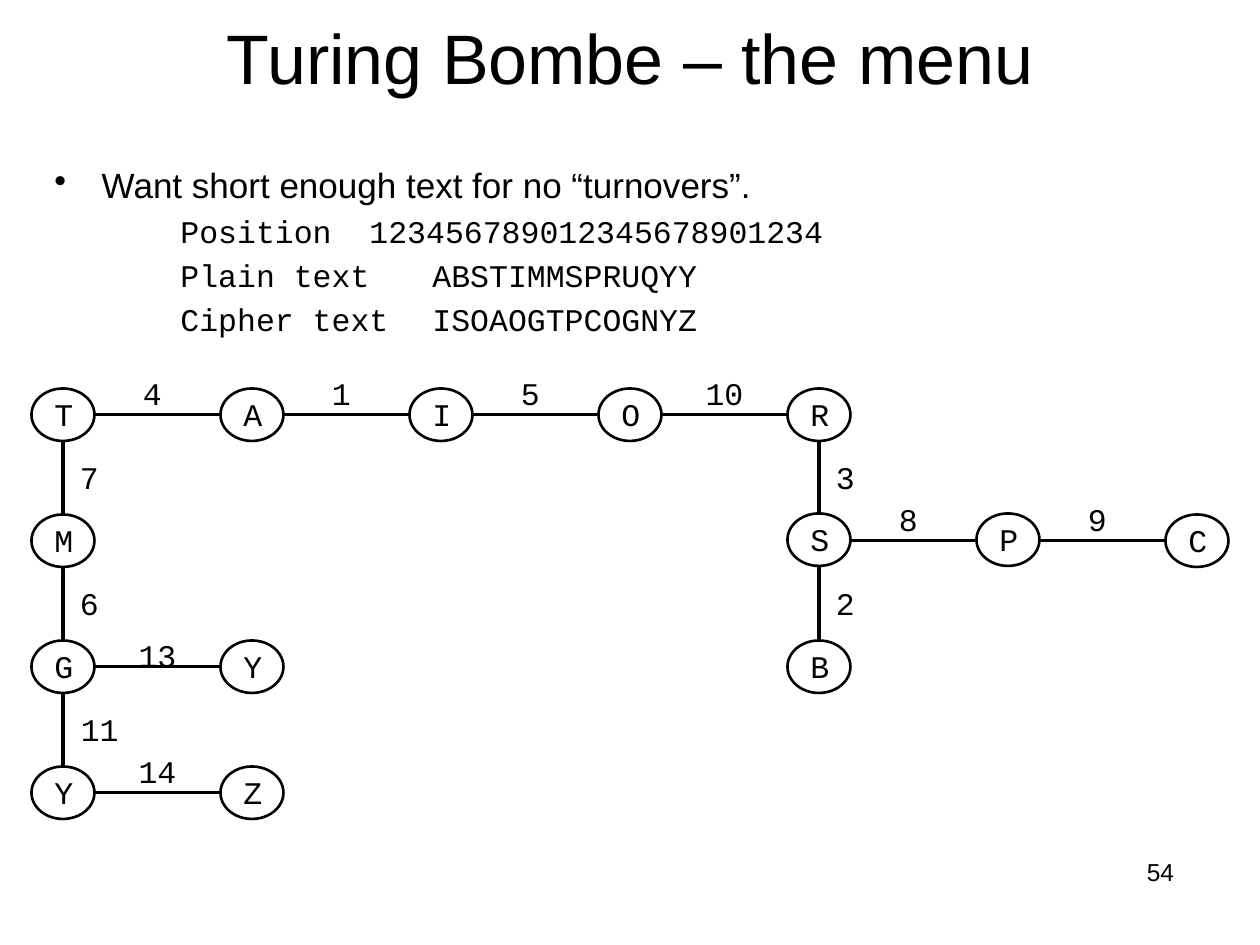
import pptx
import pptx.dml.color
import pptx.enum.shapes
import pptx.enum.text
import pptx.oxml
import pptx.oxml.ns
import pptx.util
from lxml import etree

PX = 7620
STEP_X, STEP_Y = 180, 120
OVAL_W, OVAL_H = 60, 50
ALIGN = pptx.enum.text.PP_ALIGN
INK = "000000"
MONO = "Courier New"

NODES = [
    ("T", 0, 0, 0), ("A", 1, 0, 0), ("I", 2, 0, 0), ("O", 3, 0, 0),
    ("R", 4, 0, 0), ("M", 0, 1, 0), ("S", 4, 1, -1), ("P", 5, 1, -1),
    ("C", 6, 1, 0), ("G", 0, 2, 0), ("Y", 1, 2, 0), ("B", 4, 2, 0),
    ("Y", 0, 3, 0), ("Z", 1, 3, 0),
]
ACROSS = [
    ("4", 0, 0, 50, 0), ("1", 1, 0, 50, 0), ("5", 2, 0, 50, 0),
    ("10", 3, 0, 60, 0), ("8", 4, 1, 50, 0), ("9", 5, 1, 50, 0),
    ("13", 0, 2, 60, 10), ("14", 0, 3, 60, 0),
]
DOWN = [
    ("7", 0, 0, 50), ("6", 0, 1, 50), ("11", 0, 2, 70),
    ("3", 4, 0, 50), ("2", 4, 1, 50),
]
ROWS = [
    ("Position", "123456789012345678901234"),
    ("Plain text", "ABSTIMMSPRUQYY"),
    ("Cipher text", "ISOAOGTPCOGNYZ"),
]


def px(n):
    """Turn px into EMU."""
    return pptx.util.Emu(n * PX)


def color(hex_str):
    """Turn a hex string into a colour."""
    return pptx.dml.color.RGBColor.from_string(hex_str)


def frame(slide, x, y, w, h, wrap=True):
    """Add a text box and return its text frame."""
    box = slide.shapes.add_textbox(px(x), px(y), px(w), px(h))
    box.text_frame.word_wrap = wrap
    return box.text_frame


def write(para, text, size, font="Arial"):
    """Add one run to a paragraph."""
    run = para.add_run()
    run.text = text
    run.font.size = pptx.util.Pt(size)
    run.font.name = font
    run.font.color.rgb = color(INK)


def label(slide, x, y, w, text):
    """Place a centred label of the graph."""
    para = frame(slide, x, y, w, 48, False).paragraphs[0]
    para.alignment = ALIGN.CENTER
    write(para, text, 18, MONO)


def oval(slide, x, y, text):
    """Draw one lettered node."""
    label(slide, x + 10, y, 40, text)
    kind = pptx.enum.shapes.MSO_SHAPE.OVAL
    node = slide.shapes.add_shape(kind, px(x), px(y), px(OVAL_W), px(OVAL_H))
    node.shadow.inherit = False
    node.fill.background()
    node.line.color.rgb = color(INK)
    node.line.width = pptx.util.Pt(1.5)


def link(slide, x1, y1, x2, y2):
    """Draw one straight edge."""
    kind = pptx.enum.shapes.MSO_CONNECTOR.STRAIGHT
    edge = slide.shapes.add_connector(kind, px(x1), px(y1), px(x2), px(y2))
    edge.line.color.rgb = color(INK)
    edge.line.width = pptx.util.Pt(2)
    etree.SubElement(edge._element.spPr, pptx.oxml.ns.qn("a:effectLst"))


def menu(slide, x, y):
    """Draw the graph of nodes and numbered edges."""
    for text, col, row, nudge in NODES:
        oval(slide, x + col * STEP_X, y + row * STEP_Y + nudge, text)
    for text, col, row, w, drop in ACROSS:
        left, top = x + col * STEP_X, y + row * STEP_Y
        mid = top + OVAL_H // 2
        link(slide, left + OVAL_W, mid, left + STEP_X, mid)
        label(slide, left + 90, top - 20 + drop, w, text)
    for text, col, row, w in DOWN:
        mid, top = x + col * STEP_X + OVAL_W // 2, y + row * STEP_Y
        link(slide, mid, top + OVAL_H, mid, top + STEP_Y)
        label(slide, mid, top + 60, w, text)


def title(slide, x, y, w, h):
    """Place the title."""
    text = frame(slide, x, y, w, h)
    text.vertical_anchor = pptx.enum.text.MSO_ANCHOR.BOTTOM
    para = text.paragraphs[0]
    para.alignment = ALIGN.CENTER
    write(para, "Turing Bombe – the menu", 40)


def body(slide, x, y, w, h):
    """Place the bullet and the aligned rows of text."""
    text = frame(slide, x, y, w, h)
    para = text.paragraphs[0]
    props = para._p.get_or_add_pPr()
    props.set("marL", str(px(45)))
    props.set("indent", str(px(-45)))
    etree.SubElement(props, pptx.oxml.ns.qn("a:buChar")).set("char", "•")
    write(para, "Want short enough text for no “turnovers”.", 20)
    for name, value in ROWS:
        para = text.add_paragraph()
        props = para._p.get_or_add_pPr()
        props.set("marL", "0")
        props.set("indent", str(px(120)))
        etree.SubElement(props, pptx.oxml.ns.qn("a:buNone"))
        tabs = etree.SubElement(props, pptx.oxml.ns.qn("a:tabLst"))
        stop = etree.SubElement(tabs, pptx.oxml.ns.qn("a:tab"))
        stop.set("pos", str(px(336)))
        stop.set("algn", "l")
        para.space_before = pptx.util.Pt(3.6)
        write(para, name + "\t" + value, 18, MONO)


def number(slide, x, y, w, h):
    """Place the slide number."""
    para = frame(slide, x, y, w, h).paragraphs[0]
    para.alignment = ALIGN.RIGHT
    write(para, "54", 14)


def main():
    """Build and save the slide."""
    deck = pptx.Presentation()
    deck.slide_width, deck.slide_height = px(1200), px(900)
    slide = deck.slides.add_slide(deck.slide_layouts[6])
    number(slide, 880, 810, 250, 60)
    title(slide, 90, 10, 1020, 90)
    body(slide, 40, 150, 1120, 240)
    menu(slide, 30, 370)
    deck.save("out.pptx")


if __name__ == "__main__":
    main()
